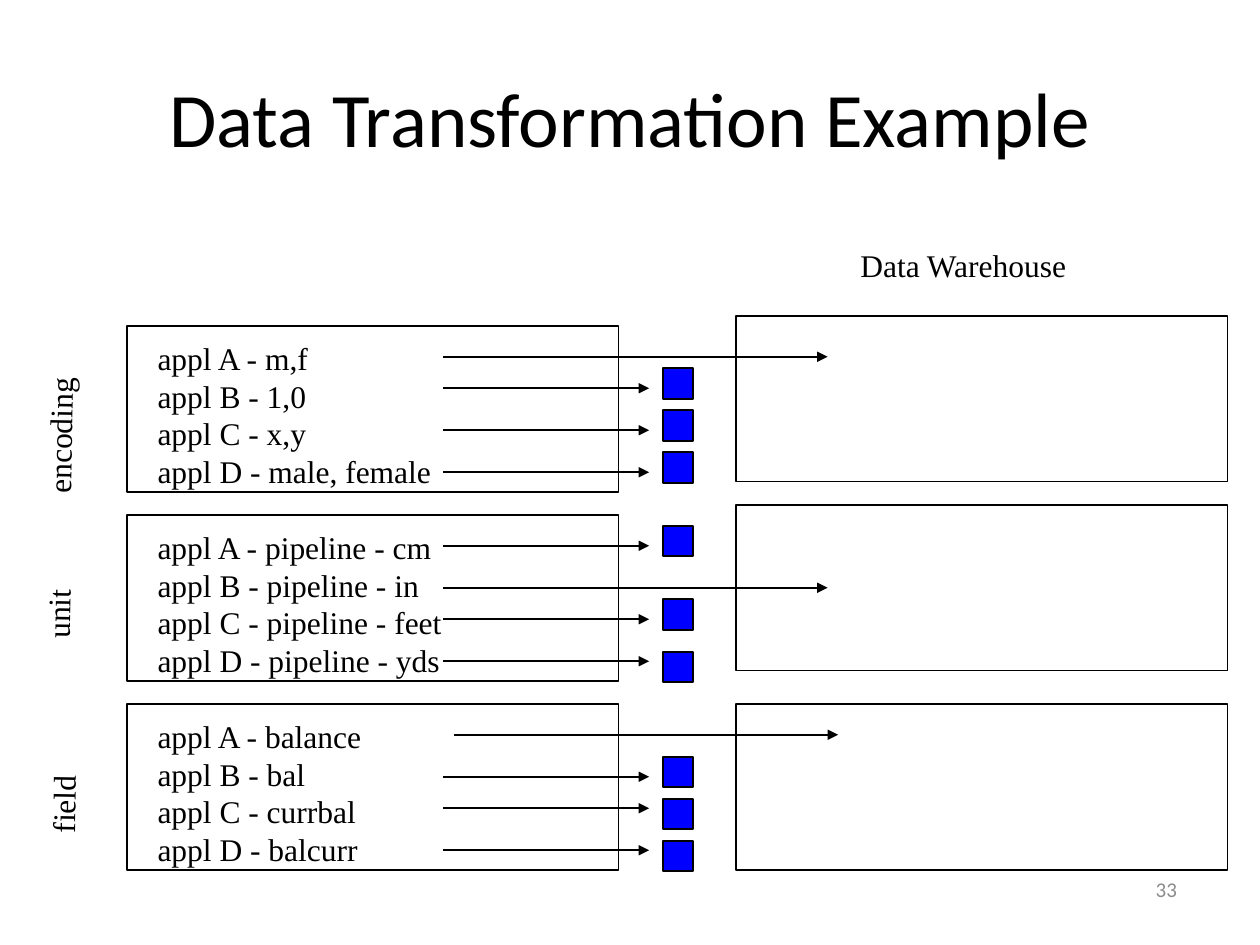
from dataclasses import dataclass
from typing import Optional

from lxml.etree import SubElement
from pptx import Presentation
from pptx.dml.color import RGBColor
from pptx.enum.shapes import MSO_CONNECTOR as Connector, MSO_SHAPE as Shape
from pptx.enum.text import MSO_ANCHOR as Anchor, MSO_AUTO_SIZE as AutoSize, PP_ALIGN as Align
from pptx.oxml.ns import qn
from pptx.util import Inches, Pt


@dataclass(frozen=True)
class Theme:
    ink: RGBColor = RGBColor(0, 0, 0)
    paper: RGBColor = RGBColor(255, 255, 255)
    converter: RGBColor = RGBColor(0, 0, 255)
    muted: RGBColor = RGBColor(0x8C, 0x8C, 0x8C)
    heading_font: str = "Calibri"
    body_font: str = "Times New Roman"
    title_size: int = 44
    body_size: int = 18
    number_size: int = 12
    line_width: int = 1


@dataclass(frozen=True)
class Flow:
    """One application; without a converter its data goes straight to the warehouse."""
    text: str
    arrow_row: float
    converter_row: Optional[float] = None
    shift: float = 0


@dataclass(frozen=True)
class Band:
    label: str
    label_col: float
    label_cols: float
    list_cols: float
    warehouse_row: float
    flows: tuple


THEME = Theme()
CELL = 1 / 12  # inches per grid column and row
LEFT, TOP = 1.01, 2.59
BAND_ROWS = 18
BOX_COLS, BOX_ROWS = 46.8, 15.8
LIST_COL, LIST_ROW, LIST_ROWS = 1.7, 0.6, 15.6
ARROW_COL, CONVERTER_END, WAREHOUSE_END = 30.1, 49.7, 66.7
CONVERTER_COL, CONVERTER_SIDE = 51, 2.9
WAREHOUSE_COL = 58
LABEL_MIDDLE, LINE_ROWS = 8.6, 6

BANDS = (
    Band("encoding", -5.8, 17, 28.9, -1, (
        Flow("appl A - m,f", 2.9),
        Flow("appl B - 1,0", 5.9, 4),
        Flow("appl C - x,y", 9.9, 8),
        Flow("appl D - male, female", 13.9, 12))),
    Band("unit", -6, 8.6, 29.9, -1, (
        Flow("appl A - pipeline - cm", 2.9, 1),
        Flow("appl B - pipeline - in", 6.9),
        Flow("appl C - pipeline - feet", 9.9, 8),
        Flow("appl D - pipeline - yds", 13.9, 13))),
    Band("field", -5.5, 9.7, 22.4, 0, (
        Flow("appl A - balance", 2.9, shift=1),
        Flow("appl B - bal", 6.9, 5),
        Flow("appl C - currbal", 9.9, 9),
        Flow("appl D - balcurr", 13.9, 13))),
)


def grid_box(top, col, row, cols, rows):
    """Box in inches for a grid area whose rows count from top."""
    return LEFT + col * CELL, top + row * CELL, cols * CELL, rows * CELL


def add_box(slide, box, fill):
    rect = slide.shapes.add_shape(Shape.RECTANGLE, *map(Inches, box))
    rect.shadow.inherit = False
    rect.fill.solid()
    rect.fill.fore_color.rgb = fill
    rect.line.color.rgb = THEME.ink
    rect.line.width = Pt(THEME.line_width)


def add_text(slide, box, lines, font=THEME.body_font, size=THEME.body_size,
             color=THEME.ink, align=Align.LEFT, anchor=Anchor.TOP, wrap=False):
    textbox = slide.shapes.add_textbox(*map(Inches, box))
    frame = textbox.text_frame
    frame.word_wrap = wrap
    frame.auto_size = AutoSize.NONE if wrap else AutoSize.SHAPE_TO_FIT_TEXT
    frame.vertical_anchor = anchor
    frame.text = "\n".join(lines)
    for paragraph in frame.paragraphs:
        paragraph.alignment = align
        paragraph.font.name = font
        paragraph.font.size = Pt(size)
        paragraph.font.color.rgb = color
    return textbox


def add_arrow(slide, start, end, y):
    arrow = slide.shapes.add_connector(
        Connector.STRAIGHT, Inches(start), Inches(y), Inches(end), Inches(y))
    arrow.line.color.rgb = THEME.ink
    arrow.line.width = Pt(THEME.line_width)
    SubElement(arrow.line._get_or_add_ln(), qn("a:tailEnd"), type="triangle")
    SubElement(arrow._element.spPr, qn("a:effectLst"))


def add_flow(slide, top, flow):
    if flow.converter_row is None:
        end = WAREHOUSE_END
    else:
        end = CONVERTER_END
        add_box(slide, grid_box(top, CONVERTER_COL, flow.converter_row,
                                CONVERTER_SIDE, CONVERTER_SIDE), THEME.converter)
    add_arrow(slide, LEFT + (ARROW_COL + flow.shift) * CELL,
              LEFT + (end + flow.shift) * CELL, top + flow.arrow_row * CELL)


def add_band(slide, top, band):
    """Label, source applications, converters and warehouse box of one band."""
    add_box(slide, grid_box(top, 0, 0, BOX_COLS, BOX_ROWS), THEME.paper)
    add_box(slide, grid_box(top, WAREHOUSE_COL, band.warehouse_row,
                            BOX_COLS, BOX_ROWS), THEME.paper)
    label = add_text(slide, grid_box(
        top, band.label_col - band.label_cols / 2, LABEL_MIDDLE - LINE_ROWS / 2,
        band.label_cols, LINE_ROWS), [band.label])
    label.rotation = 271
    add_text(slide, grid_box(top, LIST_COL, LIST_ROW, band.list_cols, LIST_ROWS),
             [flow.text for flow in band.flows])
    for flow in band.flows:
        add_flow(slide, top, flow)


def add_heading(slide, box):
    add_text(slide, box, ["Data Transformation Example"], THEME.heading_font,
             THEME.title_size, align=Align.CENTER, anchor=Anchor.MIDDLE, wrap=True)


def add_page_number(slide, box):
    add_text(slide, box, ["33"], THEME.heading_font, THEME.number_size, THEME.muted,
             Align.RIGHT, Anchor.MIDDLE, wrap=True)


def main():
    deck = Presentation()
    deck.slide_width, deck.slide_height = Inches(10), Inches(7.5)
    slide = deck.slides.add_slide(deck.slide_layouts[6])
    add_page_number(slide, (7.36, 6.81, 2.08, 0.5))
    add_heading(slide, (0.5, 0.3, 9, 1.25))
    add_text(slide, (6.73, 1.9, 2.41, 0.5), ["Data Warehouse"])
    for index, band in enumerate(BANDS):
        add_band(slide, TOP + index * BAND_ROWS * CELL, band)
    deck.save("out.pptx")


if __name__ == "__main__":
    main()
